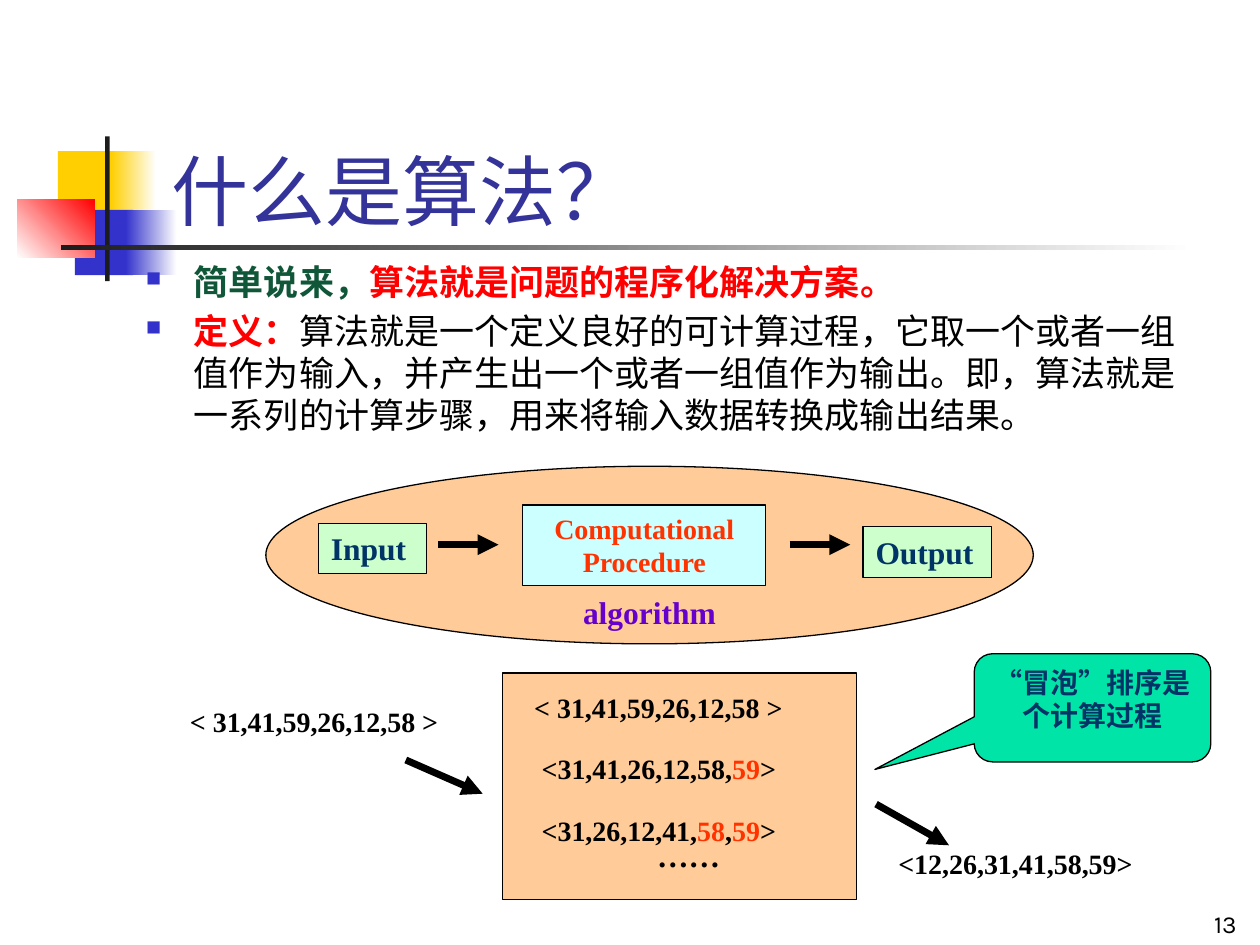
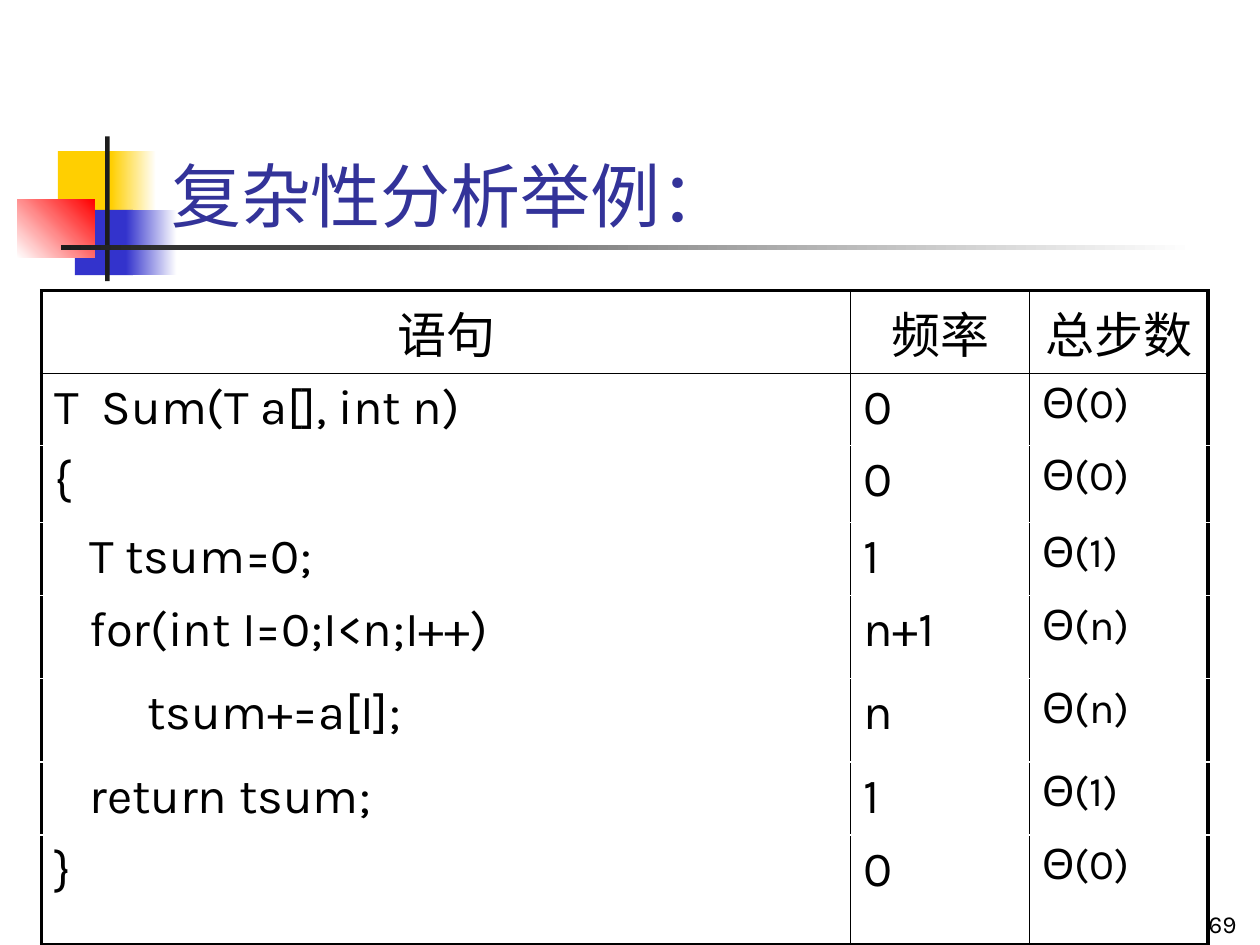
import lxml.etree
import pptx
import pptx.dml.color
import pptx.enum.shapes
import pptx.enum.text
import pptx.oxml.ns
import pptx.util
from dataclasses import dataclass

Cm = pptx.util.Cm
Pt = pptx.util.Pt
SHAPE = pptx.enum.shapes.MSO_SHAPE
ALIGN = pptx.enum.text.PP_ALIGN
ANCHOR = pptx.enum.text.MSO_ANCHOR


@dataclass(frozen=True)
class Theme:
    """Colours, fonts and type sizes of the deck."""
    black: str = "000000"
    white: str = "FFFFFF"
    title: str = "333399"
    yellow: str = "FFCF01"
    blue: str = "3333CC"
    red: str = "FF0000"
    charcoal: str = "1C1C1C"
    green: str = "105638"
    navy: str = "003366"
    orange: str = "FF3300"
    violet: str = "6600CC"
    peach: str = "FFCC99"
    mint: str = "CCFFCC"
    aqua: str = "CCFFFF"
    jade: str = "00E4A8"
    latin: str = "Karla"
    cjk: str = "Noto Sans CJK SC"
    serif: str = "Times New Roman"
    body_size: int = 20
    label_size: int = 18
    sequence_size: int = 16
    number_size: int = 14
    code_size: int = 28
    cost_size: int = 24
    outline: float = 0.75
    arrow: float = 4
    frame: float = 2.25
    rule: float = 1


THEME = Theme()


def rgb(colour):
    """Turn a hex string into a colour."""
    return pptx.dml.color.RGBColor.from_string(colour)


def add_xml(parent, tag, **attributes):
    """Append a DrawingML element to its parent."""
    return lxml.etree.SubElement(parent, pptx.oxml.ns.qn(tag), attributes)


def write(paragraph, pieces, size, font, align=ALIGN.LEFT):
    """Fill a paragraph with (text, colour, bold) pieces."""
    paragraph.alignment = align
    for text, colour, bold in pieces:
        run = paragraph.add_run()
        run.text = text
        run.font.size = Pt(size)
        run.font.name = font
        run.font.bold = bold
        run.font.color.rgb = rgb(colour)
        east_asian = font if text == "……" else THEME.cjk
        add_xml(run.font._element, "a:ea", typeface=east_asian)


def add_text(slide, box, pieces, size, font, align=ALIGN.LEFT, anchor=ANCHOR.TOP):
    """Add a wrapping text box with one paragraph."""
    frame = slide.shapes.add_textbox(*map(Cm, box)).text_frame
    frame.word_wrap = True
    frame.vertical_anchor = anchor
    write(frame.paragraphs[0], pieces, size, font, align)


def add_block(slide, box, fill, kind=SHAPE.RECTANGLE, outlined=True):
    """Add a flat preset shape, outlined in black or without a line."""
    block = slide.shapes.add_shape(kind, *map(Cm, box))
    block.shadow.inherit = False
    block.fill.solid()
    block.fill.fore_color.rgb = rgb(fill)
    if outlined:
        block.line.color.rgb = rgb(THEME.black)
        block.line.width = Pt(THEME.outline)
    else:
        block.line.fill.background()
    return block


def add_fade(slide, box, start, end, angle=0):
    """Add a borderless rectangle with a two-colour gradient."""
    fill = add_block(slide, box, start, outlined=False).fill
    fill.gradient()
    fill.gradient_angle = angle
    for stop, colour in zip(fill.gradient_stops, (start, end)):
        stop.color.rgb = rgb(colour)


def add_label(slide, box, fill, text, colour, size, align, kind=SHAPE.RECTANGLE):
    """Add a shape with a bold serif label."""
    label = add_block(slide, box, fill, kind)
    frame = label.text_frame
    frame.word_wrap = True
    frame.vertical_anchor = ANCHOR.TOP
    write(frame.paragraphs[0], [(text, colour, True)], size, THEME.serif, align)
    return label


def add_arrow(slide, start, end):
    """Add a thick black arrow."""
    arrow = slide.shapes.add_connector(
        pptx.enum.shapes.MSO_CONNECTOR.STRAIGHT, *map(Cm, start + end))
    arrow.line.color.rgb = rgb(THEME.black)
    arrow.line.width = Pt(THEME.arrow)
    add_xml(arrow.line._get_or_add_ln(), "a:tailEnd", type="triangle")
    add_xml(arrow._element.spPr, "a:effectLst")


def add_sequence(slide, left, top, width, pieces, size=THEME.sequence_size, align=ALIGN.LEFT):
    """Add one bold number sequence; marked pieces are orange."""
    coloured = [(text, THEME.orange if marked else THEME.black, True) for text, marked in pieces]
    add_text(slide, (left, top, width, 0.97), coloured, size, THEME.serif, align)


def add_bullets(slide, box, items):
    """Add square-bulleted body paragraphs."""
    frame = slide.shapes.add_textbox(*map(Cm, box)).text_frame
    frame.word_wrap = True
    for index, pieces in enumerate(items):
        paragraph = frame.add_paragraph() if index else frame.paragraphs[0]
        paragraph.space_before = Pt(0.2 * THEME.body_size if index else 0)
        write(paragraph, pieces, THEME.body_size, THEME.cjk)
        properties = paragraph._p.get_or_add_pPr()
        properties.set("marL", str(Cm(0.97)))
        properties.set("indent", str(-Cm(0.97)))
        add_xml(add_xml(properties, "a:buClr"), "a:srgbClr", val=THEME.blue)
        add_xml(properties, "a:buSzPct", val="60000")
        add_xml(properties, "a:buChar", char="■")


def add_border(cell, side, colour, width):
    """Draw one side of a table cell."""
    edge = add_xml(cell._tc.get_or_add_tcPr(), "a:ln" + side, w=str(Pt(width)))
    add_xml(add_xml(edge, "a:solidFill"), "a:srgbClr", val=colour)


def add_cost_table(slide, left, top, widths, heights, header, steps):
    """Add the framed table of statements, frequencies and step counts."""
    rows = [(0, *header)] + steps
    table = slide.shapes.add_table(
        len(rows), len(widths), Cm(left), Cm(top), Cm(sum(widths)), Cm(sum(heights))).table
    table.first_row = table.horz_banding = False
    for column, width in zip(table.columns, widths):
        column.width = Cm(width)
    last_row, last_column = len(rows) - 1, len(widths) - 1
    frame, rule = (THEME.black, THEME.frame), (THEME.black, THEME.rule)
    hidden = (THEME.white, THEME.rule)
    for r, (indent, *texts) in enumerate(rows):
        table.rows[r].height = Cm(heights[r])
        for c, text in enumerate(texts):
            cell = table.cell(r, c)
            add_border(cell, "L", *(rule if c else frame))
            add_border(cell, "R", *(frame if c == last_column else rule))
            add_border(cell, "T", *{0: frame, 1: rule}.get(r, hidden))
            add_border(cell, "B", *{0: rule, last_row: frame}.get(r, hidden))
            cell.fill.background()
            paragraph = cell.text_frame.paragraphs[0]
            size = THEME.cost_size if r and c == last_column else THEME.code_size
            write(paragraph, [(text, THEME.black, False)], size, THEME.latin,
                  ALIGN.LEFT if r else ALIGN.CENTER)
            if indent and c == 0:
                paragraph._p.get_or_add_pPr().set("marL", str(Cm(indent)))


def start_slide(deck, title, title_size, number):
    """Add a blank slide with the shared ornament, title and number."""
    slide = deck.slides.add_slide(deck.slide_layouts[6])
    add_block(slide, (1.17, 3.05, 1.22, 1.32), THEME.yellow, outlined=False)
    add_fade(slide, (2.24, 3.05, 0.91, 1.32), THEME.yellow, THEME.white)
    add_block(slide, (1.51, 4.23, 1.17, 1.32), THEME.blue, outlined=False)
    add_fade(slide, (2.54, 4.23, 1.02, 1.32), THEME.blue, THEME.white)
    add_fade(slide, (0.35, 4.02, 1.56, 1.18), THEME.white, THEME.red, 45)
    add_block(slide, (2.12, 2.75, 0.09, 2.92), THEME.charcoal, outlined=False)
    add_fade(slide, (1.23, 4.94, 22.86, 0.1), THEME.charcoal, THEME.white)
    add_text(slide, (3.2, 1.71, 21.64, 3.18), [(title, THEME.title, False)], title_size,
             THEME.latin, anchor=ANCHOR.BOTTOM)
    add_text(slide, (19.9, 17.78, 5.28, 1.27), [(number, THEME.black, False)],
             THEME.number_size, THEME.latin, ALIGN.RIGHT, ANCHOR.BOTTOM)
    return slide


def add_algorithm_diagram(slide):
    """Draw input, procedure and output inside the algorithm ellipse."""
    algorithm = add_label(slide, (5.36, 9.4, 15.47, 3.58), THEME.peach, "algorithm",
                          THEME.violet, THEME.label_size, ALIGN.CENTER, SHAPE.OVAL)
    algorithm.text_frame.margin_top = Cm(2.03)
    algorithm.text_frame.margin_bottom = 0
    add_label(slide, (6.42, 10.55, 2.18, 1.02), THEME.mint, "Input",
              THEME.navy, THEME.label_size, ALIGN.LEFT)
    add_label(slide, (10.54, 10.18, 4.9, 1.63), THEME.aqua, "Computational Procedure",
              THEME.orange, THEME.sequence_size, ALIGN.CENTER)
    add_label(slide, (17.4, 10.62, 2.59, 1.02), THEME.mint, "Output",
              THEME.navy, THEME.label_size, ALIGN.LEFT)
    for left in (8.83, 15.92):
        add_arrow(slide, (left, 10.98), (left + 1.22, 10.98))


def add_sorting_example(slide):
    """Draw the bubble sort trace with its input, output and callout."""
    unsorted = [("< 31,41,59,26,12,58 >", False)]
    add_block(slide, (10.13, 13.57, 7.14, 4.57), THEME.peach)
    add_sequence(slide, 3.58, 14.07, 6.38, unsorted)
    add_sequence(slide, 10.52, 13.79, 6.76, unsorted)
    add_sequence(slide, 10.67, 15.03, 6.43,
                 [("<31,41,26,12,58,", False), ("59", True), (">", False)])
    add_sequence(slide, 10.67, 16.27, 6.43,
                 [("<31,26,12,41,", False), ("58", True), (",", False), ("59", True), (">", False)])
    add_sequence(slide, 10.67, 16.73, 6.43, [("……", False)], THEME.label_size, ALIGN.CENTER)
    add_sequence(slide, 17.86, 16.94, 6.43, [("<12,26,31,41,58,59>", False)])
    add_arrow(slide, (17.66, 16.21), (19.13, 17.04))
    add_arrow(slide, (8.18, 15.32), (9.73, 16))
    callout = add_label(slide, (19.64, 13.18, 4.77, 2.18), THEME.jade, "“冒泡”排序是个计算过程",
                        THEME.navy, THEME.sequence_size, ALIGN.CENTER,
                        SHAPE.ROUNDED_RECTANGULAR_CALLOUT)
    for index, value in enumerate((-0.92, 0.57, 0.17)):
        callout.adjustments[index] = value


def build_definition(deck):
    """Build the slide that defines an algorithm."""
    slide = start_slide(deck, "什么是算法？", 44, "13")
    add_bullets(slide, (2.69, 5.13, 21.59, 13.77), [
        [("简单说来，", THEME.green, True),
         ("算法就是问题的程序化解决方案。", THEME.red, True)],
        [("定义：", THEME.red, True),
         ("算法就是一个定义良好的可计算过程，它取一个或者一组值作为输入，"
          "并产生出一个或者一组值作为输出。即，算法就是一系列的计算步骤，"
          "用来将输入数据转换成输出结果。", THEME.black, False)],
    ])
    add_algorithm_diagram(slide)
    add_sorting_example(slide)


def build_complexity(deck):
    """Build the slide with the complexity analysis table."""
    slide = start_slide(deck, "复杂性分析举例：", 40, "69")
    add_cost_table(
        slide, 0.84, 5.86, (16.31, 3.6, 3.6),
        (1.67, 1.45, 1.55, 1.47, 1.68, 1.68, 1.47, 2.21),
        ("语句", "频率", "总步数"),
        [(0, "T  Sum(T a[], int n)", "0", "Θ(0)"),
         (0, "{", "0", "Θ(0)"),
         (0.71, "T tsum=0;", "1", "Θ(1)"),
         (0.71, "for(int I=0;I<n;I++)", "n+1", "Θ(n)"),
         (1.88, "tsum+=a[I];", "n", "Θ(n)"),
         (0.71, "return tsum;", "1", "Θ(1)"),
         (0, "}", "0", "Θ(0)")])


def main():
    """Build and save the deck."""
    deck = pptx.Presentation()
    deck.slide_width, deck.slide_height = Cm(25.4), Cm(19.05)
    build_definition(deck)
    build_complexity(deck)
    deck.save("out.pptx")


main()
